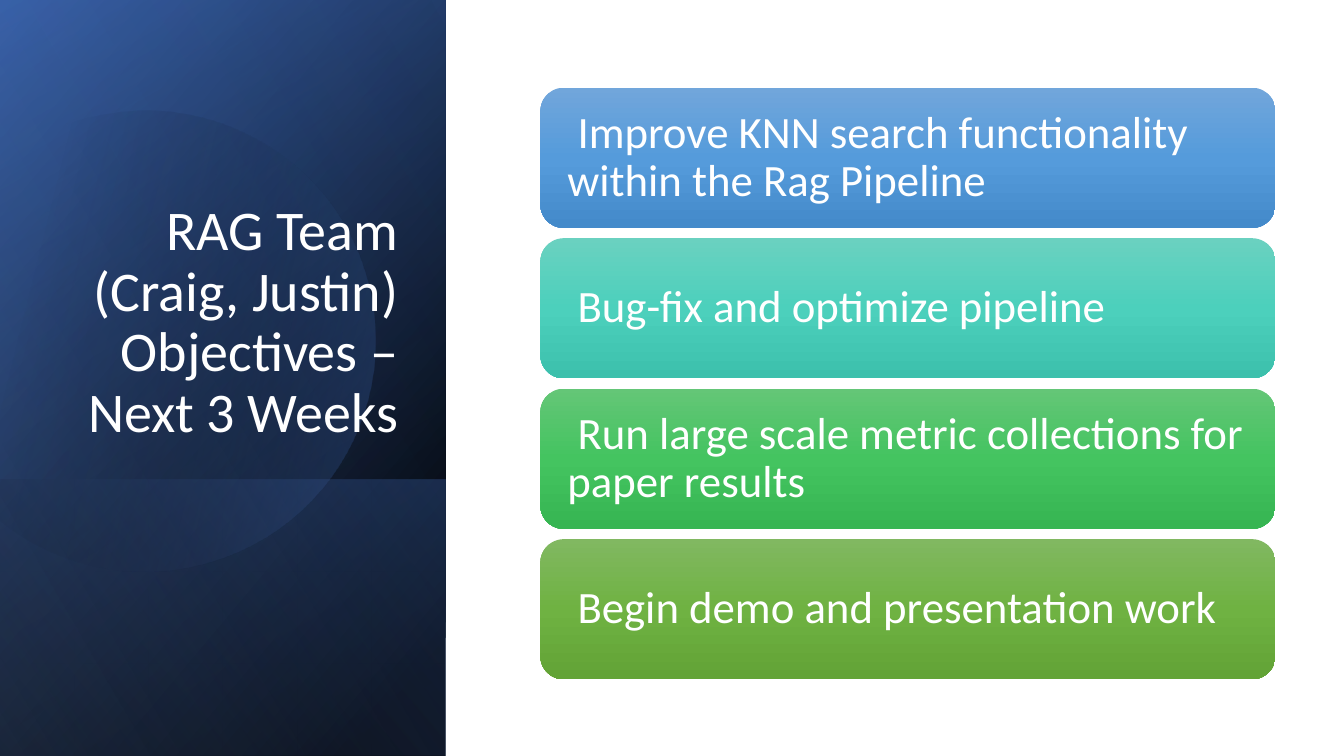
import math
import pptx
import pptx.util
import pptx.dml.color
import pptx.enum.shapes
import pptx.enum.text
import pptx.oxml.ns
from lxml import etree

Inches = pptx.util.Inches
RGBColor = pptx.dml.color.RGBColor
SHAPE = pptx.enum.shapes.MSO_SHAPE
ALIGN = pptx.enum.text.PP_ALIGN
ANCHOR = pptx.enum.text.MSO_ANCHOR
qn = pptx.oxml.ns.qn

BLACK = RGBColor(0x00, 0x00, 0x00)
WHITE = RGBColor(0xFF, 0xFF, 0xFF)
NAVY = RGBColor(0x2F, 0x55, 0x97)
BLUE = RGBColor(0x44, 0x72, 0xC4)
PALE = RGBColor(0x8F, 0xAA, 0xDC)
SKY = [RGBColor(0x71, 0xA6, 0xDB), RGBColor(0x55, 0x9B, 0xDB), RGBColor(0x44, 0x8A, 0xCA)]
TEAL = [RGBColor(0x6A, 0xD1, 0xC0), RGBColor(0x4C, 0xD0, 0xBC), RGBColor(0x3C, 0xC0, 0xAC)]
GREEN = [RGBColor(0x64, 0xC6, 0x77), RGBColor(0x44, 0xC4, 0x60), RGBColor(0x36, 0xB5, 0x52)]
LEAF = [RGBColor(0x81, 0xB8, 0x61), RGBColor(0x6F, 0xB2, 0x42), RGBColor(0x62, 0xA3, 0x36)]


def shade(shape, stops, angle):
    """Fill with a gradient of (place %, colour, opacity %) stops; no line or shadow."""
    shape.shadow.inherit = False
    shape.line.fill.background()
    shape.fill.gradient()
    grad = shape._element.spPr.find(qn("a:gradFill"))
    for child in list(grad):
        grad.remove(child)
    group = etree.SubElement(grad, qn("a:gsLst"))
    for place, color, alpha in stops:
        stop = etree.SubElement(group, qn("a:gs"), pos=str(place * 1000))
        tint = etree.SubElement(stop, qn("a:srgbClr"), val=str(color))
        if alpha < 100:
            etree.SubElement(tint, qn("a:alpha"), val=str(alpha * 1000))
    etree.SubElement(grad, qn("a:lin"), ang=str(angle * 60000), scaled="0")


def write(frame, text, size, align):
    frame.word_wrap = True
    para = frame.paragraphs[0]
    para.alignment = align
    para.line_spacing = 0.9
    run = para.add_run()
    run.text = text
    run.font.name = "Calibri"
    run.font.size = pptx.util.Pt(size)
    run.font.color.rgb = WHITE


deck = pptx.Presentation()
deck.slide_width = Inches(13.33)
deck.slide_height = Inches(7.5)
slide = deck.slides.add_slide(deck.slide_layouts[5])
shapes = slide.shapes

# Side panel: turned rectangles with layered gradients, and a disc among them
full = (-1.54, 1.54, 7.5, 4.42)
layers = [
    (full, [(8, BLACK, 100), (100, NAVY, 100)], 50),
    (full, [(0, BLACK, 0), (99, BLUE, 46)], 30),
    ((0.84, 3.92, 2.74, 4.42), [(2, BLUE, 29), (100, BLACK, 30)], 130),
    (None, [(29, BLACK, 0), (100, BLUE, 43)], 30),
    (full, [(0, BLACK, 0), (99, PALE, 11)], 120),
]

# Disc outline as it lies on the slide: Bezier curves, then a cut left side
start = (1.49, 1.1)
curves = [
    [(2.46, 1.12), (3.35, 1.77), (3.63, 2.75)],
    [(3.98, 3.97), (3.28, 5.23), (2.07, 5.58)],
    [(1.31, 5.8), (0.53, 5.61), (-0.03, 5.14)],
    [(-0.15, 5.03)],
    [(-0.15, 1.75)],
    [(0, 1.61)],
    [(0.23, 1.42), (0.5, 1.28), (0.8, 1.19)],
    [(1.03, 1.13), (1.26, 1.1), (1.49, 1.1)],
]
STEPS = 24
outline = [start]
for curve in curves:
    knots = [outline[-1]] + curve
    n = len(knots) - 1
    count = STEPS if n > 1 else 1
    for step in range(1, count + 1):
        t = step / count
        outline.append(tuple(
            sum(math.comb(n, k) * (1 - t) ** (n - k) * t ** k * knots[k][axis]
                for k in range(n + 1))
            for axis in (0, 1)))

# The disc is turned, so its points are first turned back about its centre
TURN = 16.1
mid_x, mid_y = 1.585, 3.345
cos, sin = math.cos(math.radians(TURN)), math.sin(math.radians(TURN))
points = []
for x, y in outline:
    dx, dy = x - mid_x, y - mid_y
    points.append((Inches(mid_x + dx * cos - dy * sin), Inches(mid_y + dx * sin + dy * cos)))

for box, stops, angle in layers:
    if box:
        layer = shapes.add_shape(SHAPE.RECTANGLE, *[Inches(v) for v in box])
        layer.rotation = 90
        layer._element.spPr.find(qn("a:xfrm")).set("flipH", "1")
    else:
        path = shapes.build_freeform(*points[0])
        path.add_line_segments(points[1:], close=True)
        layer = path.convert_to_shape()
        layer.rotation = 360 - TURN
    shade(layer, stops, angle)

# Title, brought in front of the panel
title = shapes.title
shapes._spTree.append(title._element)
title.left, title.top = Inches(0.64), Inches(1.84)
title.width, title.height = Inches(3.41), Inches(2.62)
title.text_frame.auto_size = pptx.enum.text.MSO_AUTO_SIZE.NONE
title.text_frame.vertical_anchor = ANCHOR.BOTTOM
write(title.text_frame, "RAG Team (Craig, Justin) Objectives – Next 3 Weeks", 40, ALIGN.RIGHT)

# Goal cards
goals = [
    (" Improve KNN search functionality within the Rag Pipeline", SKY),
    (" Bug-fix and optimize pipeline", TEAL),
    (" Run large scale metric collections for paper results", GREEN),
    (" Begin demo and presentation work", LEAF),
]
for i, (text, colors) in enumerate(goals):
    card = shapes.add_shape(SHAPE.ROUNDED_RECTANGLE, Inches(5.36), Inches(0.87 + 1.493 * i),
                            Inches(7.29), Inches(1.39))
    shade(card, [(50 * k, color, 100) for k, color in enumerate(colors)], 90)
    frame = card.text_frame
    frame.margin_left = frame.margin_right = Inches(0.2)
    frame.margin_top = frame.margin_bottom = Inches(0.13)
    frame.vertical_anchor = ANCHOR.MIDDLE
    write(frame, text, 32, ALIGN.LEFT)

deck.save("out.pptx")
